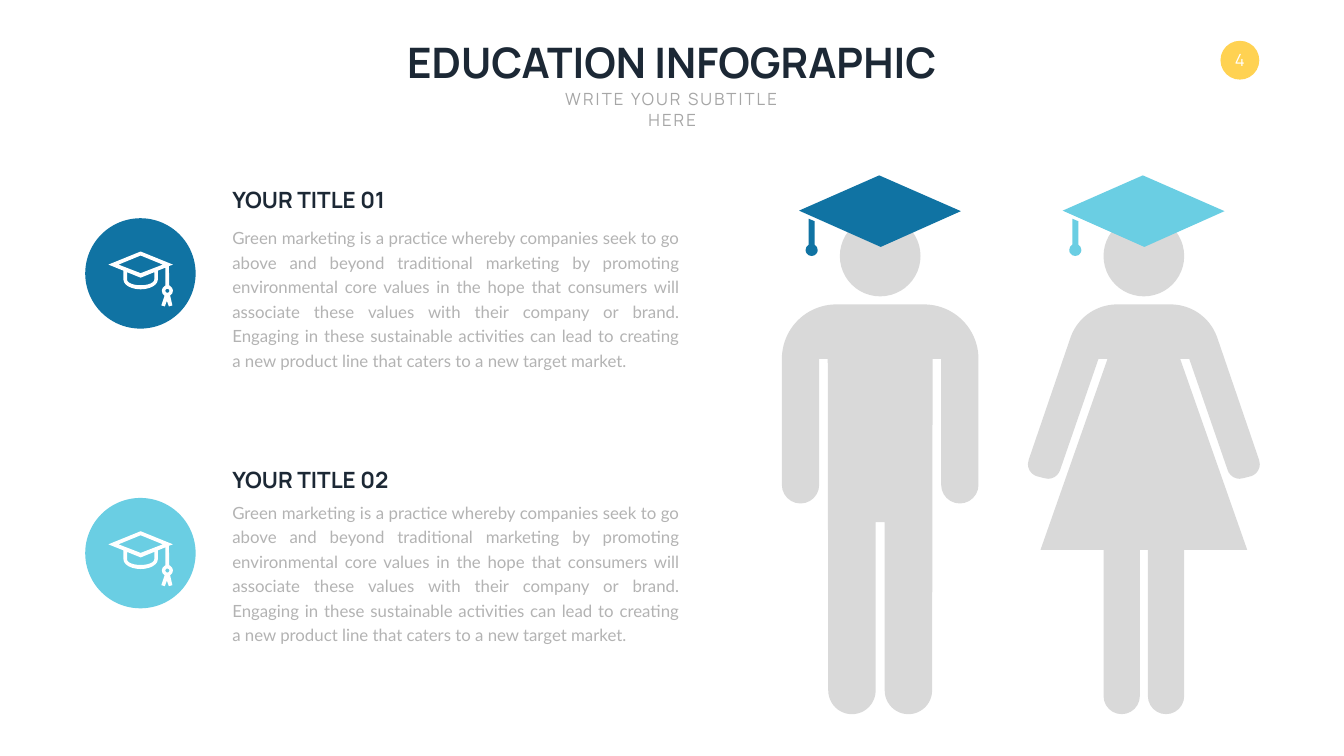
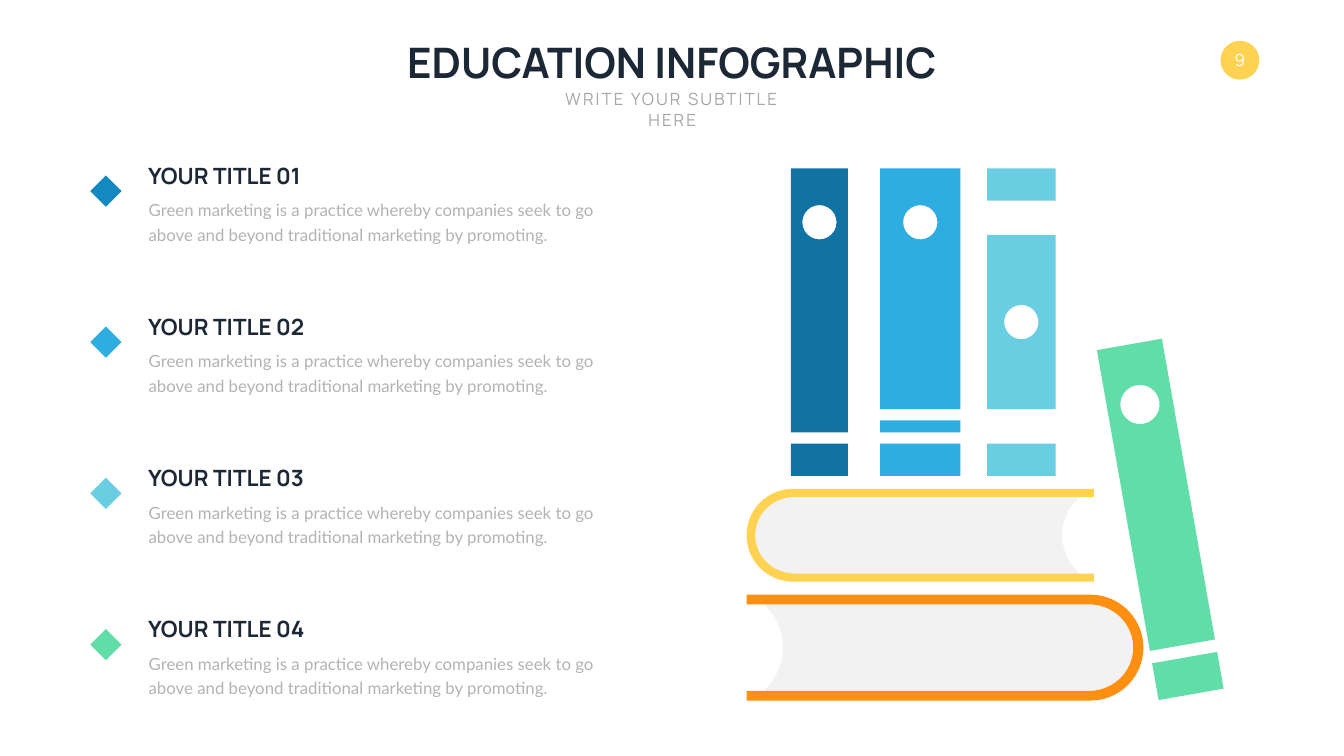
import math

from lxml import etree
from pptx import Presentation
from pptx.dml import color as colors
from pptx.enum import shapes, text
from pptx.oxml import ns
from pptx.util import Inches, Pt

NAVY = "1C2835"
BLUE = "1073A3"
MID_BLUE = "1388C1"
SKY = "2DADE0"
AQUA = "6ACEE3"
GREEN = "61DDA8"
YELLOW = "FFD252"
ORANGE = "FF8F10"
WHITE = "FFFFFF"
FIGURE_GRAY = "D9D9D9"
PAGE_GRAY = "F2F2F2"

TITLE = {"size": Pt(60), "name": "Manrope", "bold": True, "color": NAVY}
SUBTITLE = {"size": Pt(24), "name": "Manrope", "color": "A6A6A6"}
HEADING = {"size": Pt(32), "name": "Manrope", "bold": True, "color": NAVY}
BODY = {"size": Pt(24), "name": "Lato", "color": "B3B3B3"}
NUMBER = {"size": Pt(24), "name": "Manrope", "color": WHITE}

SHORT_BODY = ("Green marketing is a practice whereby companies seek to go above "
              "and beyond traditional marketing by promoting.")
LONG_BODY = ("Green marketing is a practice whereby companies seek to go above "
             "and beyond traditional marketing by promoting environmental core "
             "values in the hope that consumers will associate these values with "
             "their company or brand. Engaging in these sustainable activities "
             "can lead to creating a new product line that caters to a "
             "new target market.")


def set_color(target, value):
    target.rgb = colors.RGBColor.from_string(value)


def paint(shape, fill):
    shape.shadow.inherit = False
    shape.fill.solid()
    set_color(shape.fill.fore_color, fill)
    shape.line.fill.background()


def write(shape, words, style, align=None, anchor="TOP", wrap=False, leading=None,
          tracking=None):
    frame = shape.text_frame
    frame.word_wrap = wrap
    frame.auto_size = text.MSO_AUTO_SIZE.SHAPE_TO_FIT_TEXT
    frame.vertical_anchor = text.MSO_ANCHOR[anchor]
    paragraph = frame.paragraphs[0]
    if align:
        paragraph.alignment = text.PP_ALIGN[align]
    if leading:
        paragraph.line_spacing = Pt(leading)
    run = paragraph.add_run()
    run.text = words
    for key, value in style.items():
        if key == "color":
            set_color(run.font.color, value)
        else:
            setattr(run.font, key, value)
    if tracking:
        run.font._element.set("spc", str(tracking * 100))


def add_text(slide, box, words, style, **layout):
    shape = slide.shapes.add_textbox(*map(Inches, box))
    write(shape, words, style, **layout)


def add_preset(slide, kind, box, fill):
    shape = slide.shapes.add_shape(shapes.MSO_SHAPE[kind], *map(Inches, box))
    paint(shape, fill)
    return shape


def add_outline(slide, contours, fill):
    builder = None
    for contour in contours:
        points = [(Inches(x), Inches(y)) for x, y, *_ in contour]
        if builder is None:
            builder = slide.shapes.build_freeform(*points[0])
        else:
            builder.move_to(*points[0])
        builder.add_line_segments(points[1:], close=True)
    shape = builder.convert_to_shape()
    ends = [point for contour in contours for point in contour[1:]]
    for line, (_, _, *curve) in zip(list(shape._element.iter(ns.qn("a:lnTo"))), ends):
        if curve:
            bend_line(line, *curve)
    paint(shape, fill)
    return shape


def bend_line(line, radius_x, radius_y, start, sweep):
    values = {"wR": Inches(radius_x), "hR": Inches(radius_y),
              "stAng": round(start % 360 * 60000), "swAng": round(sweep * 60000)}
    curve = etree.Element(ns.qn("a:arcTo"), {key: str(int(v)) for key, v in values.items()})
    line.getparent().replace(line, curve)


def arc(x, y, radius, start, end, radius_y=None):
    radius_y = radius_y or radius
    steps = math.ceil(abs(end - start) / 90)
    sweep = (end - start) / steps
    points = []
    for i in range(steps + 1):
        angle = start + sweep * i
        curve = (radius, radius_y, angle - sweep, sweep) if i else ()
        points.append((x + radius * math.cos(math.radians(angle)),
                       y + radius_y * math.sin(math.radians(angle)), *curve))
    return points


def circle(x, y, radius):
    return arc(x, y, radius, 0, 360)


def rectangle(left, top, right, bottom):
    return [(left, top), (right, top), (right, bottom), (left, bottom)]


def shift(points, x, y=0):
    return [(x + px, y + py, *curve) for px, py, *curve in points]


def mirror(half):
    points = [(-half[-1][0], half[-1][1])]
    for (x, y, *_), (_, _, *curve) in reversed(list(zip(half, half[1:]))):
        if curve:
            radius_x, radius_y, start, sweep = curve
            curve = (radius_x, radius_y, 180 - start - sweep, sweep)
        points.append((-x, y, *curve))
    return points


def add_header(slide, number):
    badge = add_preset(slide, "OVAL", (24.21, 0.81, 0.77, 0.77), YELLOW)
    write(badge, number, NUMBER, align="CENTER", anchor="MIDDLE")
    add_text(slide, (7.73, 0.67, 11.19, 1.11), "EDUCATION INFOGRAPHIC", TITLE,
             align="CENTER")
    add_text(slide, (10.62, 1.72, 5.43, 0.5), "WRITE YOUR SUBTITLE HERE", SUBTITLE,
             align="CENTER", tracking=3)


def add_heading(slide, left, top, number):
    add_text(slide, (left, top, 3.32, 0.64), f"YOUR TITLE {number:02}", HEADING,
             anchor="MIDDLE")


def add_person(slide, axis, half_body, fill):
    body = half_body + mirror(half_body)
    add_outline(slide, [shift(body, axis), circle(axis, 5.08, 0.8)], fill)


def man_half():
    return ([(0, 6.04)] + arc(0.87, 7.12, 1.08, -90, 0)
            + arc(1.58, 9.62, 0.37, 0, 180)
            + [(1.21, 7.12), (1.04, 7.12)]
            + arc(0.56, 13.7, 0.47, 0, 180)
            + [(0.09, 10.36), (0, 10.36)])


def woman_half():
    return ([(0, 6.04)] + arc(0.53, 7.02, 0.98, -90, -20)
            + arc(2.05, 9.21, 0.25, -20, 70)
            + arc(1.9, 9.25, 0.25, 70, 160)
            + [(0.9, 7.12), (0.72, 7.12), (2.05, 10.91), (0.8, 10.91)]
            + arc(0.44, 13.81, 0.36, 0, 180)
            + [(0.08, 10.91), (0, 10.91)])


def add_cap(slide, axis, fill):
    board = [(-0.02, 3.48), (-1.61, 4.18), (0.01, 4.9), (1.6, 4.19)]
    tassel = ([(-1.42, 4.34)] + arc(-1.36, 4.96, 0.12, -120, -420)
              + [(-1.3, 4.39)])
    add_outline(slide, [shift(board, axis), shift(tassel, axis)], fill)


def add_cap_icon(slide, x, y):
    edge = ([(0.64, -0.18), (0, -0.44), (-0.64, -0.18), (-0.34, -0.06)]
            + arc(0, 0.12, 0.34, 180, 0, 0.19)
            + [(0.34, -0.06), (0.49, -0.12)]
            + arc(0.53, 0.34, 0.11, 250, 120)
            + [(0.41, 0.63), (0.48, 0.65), (0.52, 0.54), (0.56, 0.65), (0.63, 0.63)]
            + arc(0.53, 0.34, 0.11, 60, -70)
            + [(0.56, -0.15)])
    board_hole = [(0, -0.01), (-0.44, -0.18), (0, -0.36), (0.44, -0.18)]
    bowl_hole = arc(0, 0.12, 0.27, 0, 180, 0.11) + [(-0.27, -0.03), (0, 0.08), (0.27, -0.03)]
    ring_hole = circle(0.53, 0.34, 0.04)
    contours = [edge, board_hole, bowl_hole, ring_hole]
    add_outline(slide, [shift(contour, x, y) for contour in contours], WHITE)


def add_book(slide, left, width, bands, hole_y, hole_radius, fill):
    contours = [rectangle(left, top, left + width, bottom) for top, bottom in bands]
    contours.append(circle(left + width / 2, hole_y, hole_radius))
    return add_outline(slide, contours, fill)


def add_lying_book(slide, spine, edge, middle, radius, thickness, page_radius,
                   notch_tip, notch_depth, fill):
    side = 1 if spine > edge else -1

    def bend(x, bend_radius, start, end, radius_y=None):
        if side < 0:
            start, end = 180 - start, 180 - end
        return arc(x, middle, bend_radius, start, end, radius_y)

    notch_radius = (page_radius ** 2 + notch_depth ** 2) / (2 * notch_depth)
    notch_angle = math.degrees(math.asin(page_radius / notch_radius))
    pages = (bend(spine - side * 0.04, page_radius, -90, 90)
             + bend(notch_tip - side * notch_radius, notch_radius, notch_angle, -notch_angle))
    inner = radius - thickness
    cover = ([(edge, middle - radius)] + bend(spine, radius, -90, 90)
             + [(edge, middle + radius), (edge, middle + inner)]
             + bend(spine - side * 0.03, inner + 0.02, 90, -90, inner)
             + [(edge, middle - inner)])
    add_outline(slide, [pages], PAGE_GRAY)
    add_outline(slide, [cover], fill)


def build_graduates(slide):
    add_header(slide, "4")
    for axis, half_body, fill in ((17.46, man_half(), BLUE), (22.69, woman_half(), AQUA)):
        add_person(slide, axis, half_body, FIGURE_GRAY)
        add_cap(slide, axis, fill)
    topics = ((4.33, 3.64, 4.39, BLUE), (9.88, 9.19, 9.83, AQUA))
    for number, (top, heading_top, body_top, fill) in enumerate(topics, 1):
        add_preset(slide, "OVAL", (1.69, top, 2.19, 2.19), fill)
        add_cap_icon(slide, 2.79, top + 1.1)
        add_text(slide, (4.51, body_top, 9.06, 3), LONG_BODY, BODY,
                 align="JUSTIFY", wrap=True, leading=35)
        add_heading(slide, 4.51, heading_top, number)


def build_bookshelf(slide):
    add_header(slide, "9")
    add_lying_book(slide, 15.73, 21.7, 10.62, 0.92, 0.16, 0.83, 21.07, 0.44, YELLOW)
    foot = (8.8, 9.44)
    add_book(slide, 15.69, 1.13, [(3.34, 8.58), foot], 4.41, 0.34, BLUE)
    add_book(slide, 17.46, 1.59, [(3.34, 8.12), (8.34, 8.58), foot], 4.41, 0.34, SKY)
    add_book(slide, 19.58, 1.36, [(3.34, 3.98), (4.66, 8.12), foot], 6.39, 0.34, AQUA)
    add_lying_book(slide, 21.63, 14.81, 12.85, 1.05, 0.19, 0.95, 15.53, 0.5, ORANGE)
    leaning = add_book(slide, 22.36, 1.31, [(6.78, 12.84), (13.09, 13.83)], 7.99, 0.39, GREEN)
    leaning.rotation = 350
    for index, fill in enumerate((MID_BLUE, SKY, AQUA, GREEN)):
        top = 3.16 + 3 * index
        add_preset(slide, "DIAMOND", (1.79, top + 0.32, 0.62, 0.62), fill)
        add_heading(slide, 2.84, top, index + 1)
        add_text(slide, (2.85, top + 0.67, 9.06, 1.03), SHORT_BODY, BODY,
                 wrap=True, leading=35)


def main():
    presentation = Presentation()
    presentation.slide_width = Inches(26.66)
    presentation.slide_height = Inches(15)
    for build in (build_graduates, build_bookshelf):
        build(presentation.slides.add_slide(presentation.slide_layouts[6]))
    presentation.save("out.pptx")


if __name__ == "__main__":
    main()
